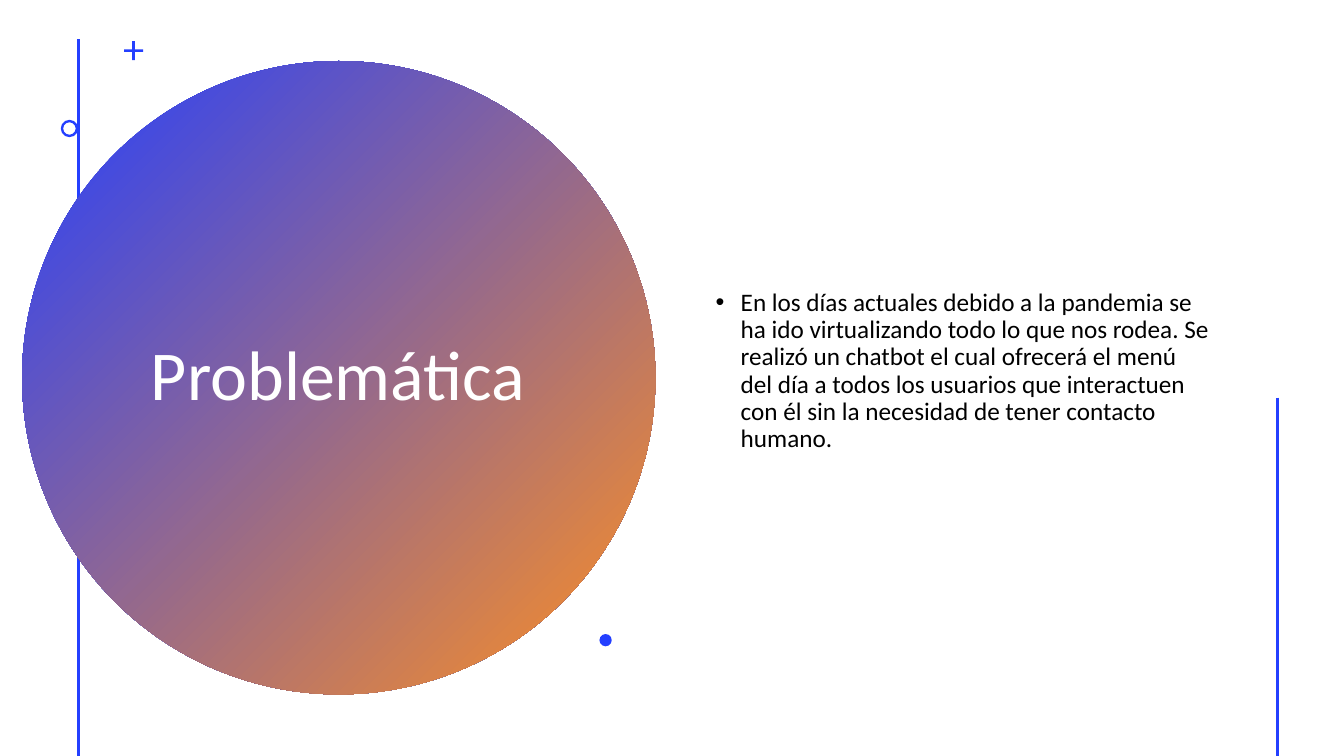
import lxml.etree
import pptx
import pptx.dml.color
import pptx.enum.shapes
import pptx.enum.text
import pptx.oxml.ns
import pptx.util

Pt = pptx.util.Pt
qn = pptx.oxml.ns.qn
Kind = pptx.enum.shapes.MSO_SHAPE
Align = pptx.enum.text.PP_ALIGN

BLUE = pptx.dml.color.RGBColor(0x24, 0x3F, 0xFF)
ORANGE = pptx.dml.color.RGBColor(0xFF, 0x90, 0x22)
WHITE = pptx.dml.color.RGBColor(0xFF, 0xFF, 0xFF)
BLACK = pptx.dml.color.RGBColor(0, 0, 0)


class Board:
    font = "Calibri"
    spacing = 0.9

    def __init__(self, slide):
        self.slide = slide

    def line(self, x, top, bottom):
        rule = self.slide.shapes.add_connector(
            pptx.enum.shapes.MSO_CONNECTOR.STRAIGHT, Pt(x), Pt(top), Pt(x), Pt(bottom))
        rule.line.color.rgb = BLUE
        rule.line.width = Pt(2)
        lxml.etree.SubElement(rule.element.spPr, qn("a:effectLst"))

    def shape(self, kind, x, y, size, adjust=None):
        form = self.slide.shapes.add_shape(kind, Pt(x), Pt(y), Pt(size), Pt(size))
        form.shadow.inherit = False
        form.line.fill.background()
        form.fill.solid()
        form.fill.fore_color.rgb = BLUE
        if adjust is not None:
            form.adjustments[0] = adjust
        return form

    def blend(self, form, colors, angle):
        form.fill.gradient()
        form.fill.gradient_angle = angle
        for stop, place, color in zip(form.fill.gradient_stops, (0, 1), colors):
            stop.position = place
            stop.color.rgb = color

    def label(self, box, area, text, size, color, align):
        box.left, box.top, box.width, box.height = map(Pt, area)
        frame = box.text_frame
        frame.word_wrap = True
        frame.auto_size = pptx.enum.text.MSO_AUTO_SIZE.NONE
        frame.vertical_anchor = pptx.enum.text.MSO_ANCHOR.MIDDLE
        para = frame.paragraphs[0]
        para.alignment = align
        para.line_spacing = self.spacing
        run = para.add_run()
        run.text = text
        run.font.name = self.font
        run.font.size = Pt(size)
        run.font.color.rgb = color

    def title(self, area, text):
        box = self.slide.shapes.title
        box.element.getparent().append(box.element)
        self.label(box, area, text, 50, WHITE, Align.CENTER)

    def bullet(self, area, text):
        box = self.slide.shapes.add_textbox(*map(Pt, area))
        props = box.text_frame.paragraphs[0]._p.get_or_add_pPr()
        props.set("marL", str(Pt(18)))
        props.set("indent", str(-Pt(18)))
        lxml.etree.SubElement(props, qn("a:buFont")).set("typeface", "Arial")
        lxml.etree.SubElement(props, qn("a:buChar")).set("char", "•")
        self.label(box, area, text, 18, BLACK, Align.LEFT)


def main():
    deck = pptx.Presentation()
    deck.slide_width, deck.slide_height = Pt(960), Pt(540)
    board = Board(deck.slides.add_slide(deck.slide_layouts[5]))

    board.line(56.2, 28, 540)
    disc = board.shape(Kind.OVAL, 15.8, 43.6, 452.4)
    board.blend(disc, (BLUE, ORANGE), 315)
    board.title((98, 101.5, 287.3, 336.2), "Problemática")
    board.shape(Kind.CROSS, 88.6, 29.4, 13.6, 0.43)
    board.shape(Kind.DONUT, 43.4, 85.6, 12.4, 0.14)
    board.bullet(
        (504, 30.2, 368.6, 470.2),
        "En los días actuales debido a la pandemia se ha ido virtualizando todo "
        "lo que nos rodea. Se realizó un chatbot el cual ofrecerá el menú del día "
        "a todos los usuarios que interactuen con él sin la necesidad de tener "
        "contacto humano.")
    board.shape(Kind.OVAL, 428.2, 452.9, 8.8)
    board.line(912.4, 284, 540)

    deck.save("out.pptx")


if __name__ == "__main__":
    main()
